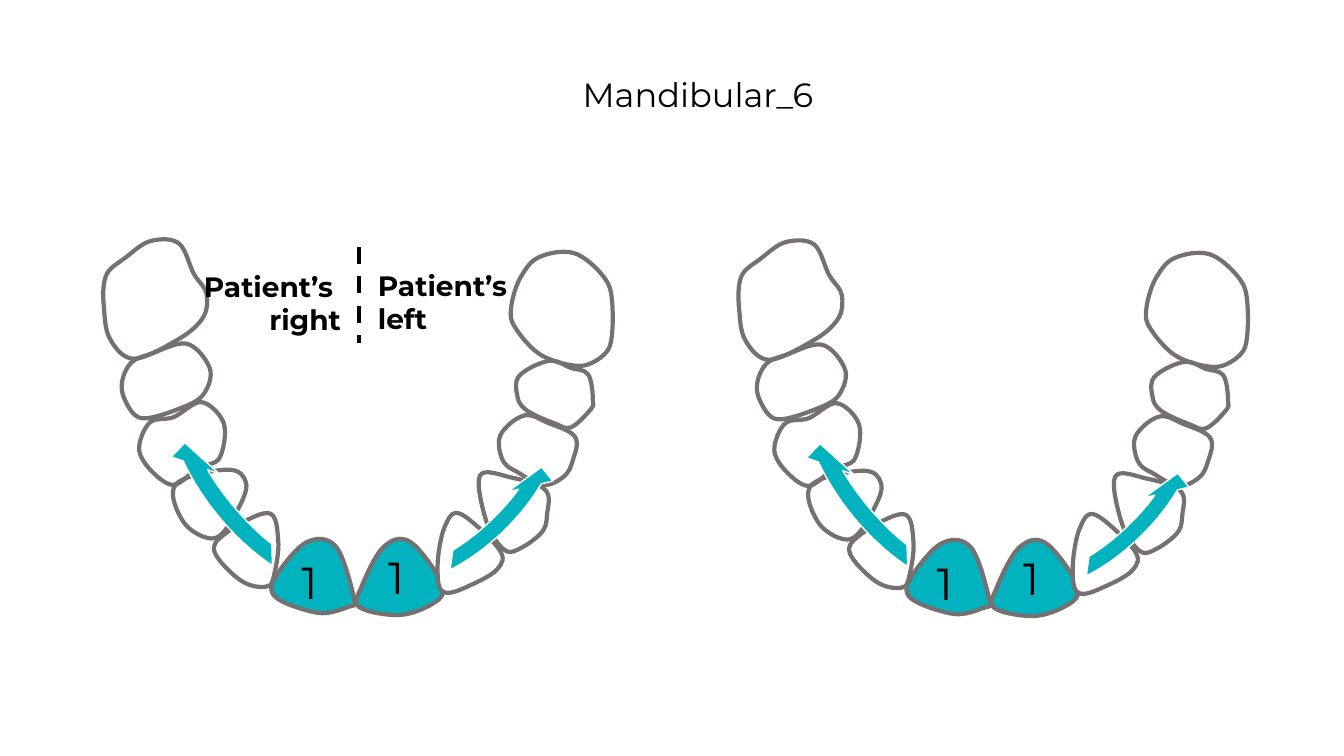
from lxml import etree
from pptx import Presentation
from pptx.dml.color import RGBColor
from pptx.enum.dml import MSO_LINE
from pptx.enum.shapes import MSO_CONNECTOR, MSO_SHAPE
from pptx.enum.text import MSO_ANCHOR, MSO_AUTO_SIZE, PP_ALIGN
from pptx.oxml.ns import qn
from pptx.util import Inches, Pt

DASH = MSO_LINE.DASH
STRAIGHT = MSO_CONNECTOR.STRAIGHT
CIRCULAR_ARROW = MSO_SHAPE.CIRCULAR_ARROW
TOP = MSO_ANCHOR.TOP
FIT_SHAPE = MSO_AUTO_SIZE.SHAPE_TO_FIT_TEXT
LEFT, CENTER, RIGHT = PP_ALIGN.LEFT, PP_ALIGN.CENTER, PP_ALIGN.RIGHT

FONT = "Montserrat"
TEAL, GRAY, BLACK, WHITE = "02B2BE", "767171", "000000", "FFFFFF"
ARROW_ADJUSTMENTS = (0.107, 8.273, 189.005, 130.563, 0.152)

# Fill and outline points of each tooth, in hundredths of an inch from the arch's corner
TEETH = [
    (TEAL, [(346, 602), (351, 593), (333, 542), (304, 538), (273, 573), (274, 593), (315, 608)]),
    (None, [(272, 570), (276, 536), (266, 509), (224, 529), (213, 548), (239, 576), (264, 582)]),
    (None, [(244, 479), (235, 507), (213, 534), (182, 518), (174, 481), (226, 466)]),
    (None, [(173, 481), (195, 465), (218, 454), (222, 420), (200, 399), (172, 414),
            (149, 419), (138, 445), (151, 468)]),
    (None, [(179, 405), (202, 391), (208, 365), (185, 341), (150, 351), (130, 360),
            (121, 379), (124, 397), (141, 415)]),
    (None, [(178, 336), (202, 314), (205, 292), (193, 273), (178, 242), (150, 239),
            (124, 256), (105, 274), (103, 304), (109, 336), (133, 356)]),
    (TEAL, [(356, 602), (359, 581), (381, 542), (406, 537), (434, 571), (436, 594), (398, 610)]),
    (WHITE, [(493, 565), (495, 545), (457, 510), (441, 523), (434, 562), (438, 586), (459, 584)]),
    (None, [(543, 507), (544, 492), (535, 482), (508, 474), (476, 472), (483, 519),
            (501, 546), (518, 543), (539, 526)]),
    (None, [(568, 457), (559, 473), (539, 481), (516, 470), (500, 459), (495, 436),
            (504, 422), (521, 412), (540, 418), (570, 433)]),
    (None, [(588, 396), (586, 406), (566, 424), (550, 420), (521, 406), (513, 392),
            (515, 373), (545, 358), (566, 365), (583, 371)]),
    (None, [(607, 298), (599, 275), (569, 251), (535, 255), (517, 274), (507, 305),
            (511, 325), (538, 353), (575, 363), (600, 351), (607, 332)]),
]


def rgb(color):
    return RGBColor.from_string(color)


def style(s, fill, line, width):
    s.shadow.inherit = False
    if fill:
        s.fill.solid()
        s.fill.fore_color.rgb = rgb(fill)
    else:
        s.fill.background()
    s.line.color.rgb = rgb(line)
    s.line.width = Pt(width)


def write(s, lines, size, align=LEFT, bold=False):
    tf = s.text_frame
    tf.word_wrap = True
    tf.auto_size = FIT_SHAPE
    tf.vertical_anchor = TOP
    tf.text = "\n".join(lines)
    for p in tf.paragraphs:
        p.alignment = align
        p.font.name = FONT
        p.font.size = Pt(size)
        p.font.bold = bold
        p.font.color.rgb = rgb(BLACK)


def smooth_steps(points):
    """Return two control points and an end point for each curve of a closed smooth outline."""
    steps = []
    n = len(points)
    for i in range(n):
        before, start, end, after = (points[(i + k) % n] for k in (-1, 0, 1, 2))
        steps.append([a + (b - c) / 6 for a, b, c in zip(start, end, before)])
        steps.append([a - (b - c) / 6 for a, b, c in zip(end, after, start)])
        steps.append(end)
    return steps


def add_tooth(shapes, left, top, fill, points):
    """Draw one tooth, turning each three straight steps into one curve."""
    builder = shapes.build_freeform(*points[0], scale=Inches(0.01))
    builder.add_line_segments(smooth_steps(points), close=True)
    s = builder.convert_to_shape(Inches(left), Inches(top))
    steps = list(s._element.iter(qn("a:lnTo")))
    for i in range(0, len(points) * 3, 3):
        curve = etree.Element(qn("a:cubicBezTo"))
        steps[i].addprevious(curve)
        for step in steps[i:i + 3]:
            curve.append(step[0])
            step.getparent().remove(step)
    style(s, fill, GRAY, 3)


def add_arrow(shapes, left, top, width, height, rotation, flips):
    s = shapes.add_shape(CIRCULAR_ARROW, Inches(left), Inches(top), Inches(width), Inches(height))
    for i, value in enumerate(ARROW_ADJUSTMENTS):
        s.adjustments[i] = value
    s.rotation = rotation
    for flip in flips:
        s._element.spPr.xfrm.set(flip, "1")
    style(s, TEAL, WHITE, 1)


def add_text(shapes, left, top, width, height, lines, size, **kwargs):
    s = shapes.add_textbox(Inches(left), Inches(top), Inches(width), Inches(height))
    write(s, lines, size, **kwargs)


def add_title(slide, left, top, width, height):
    s = slide.shapes.title
    s.left, s.top, s.width, s.height = map(Inches, (left, top, width, height))
    write(s, ["Mandibular_6 "], 24, align=CENTER)


def add_side_labels(shapes, left, top):
    add_text(shapes, left + 1.27, top + 2.62, 2.21, 0.77, ["Patient’s ", "right"], 20,
             align=RIGHT, bold=True)
    add_text(shapes, left + 3.65, top + 2.61, 1.54, 0.77, ["Patient’s", "left"], 20, bold=True)
    x = Inches(left + 3.56)
    s = shapes.add_connector(STRAIGHT, x, Inches(top + 2.45), x, Inches(top + 3.4))
    s.line.color.rgb = rgb(BLACK)
    s.line.width = Pt(3)
    s.line.dash_style = DASH
    etree.SubElement(s._element.spPr, qn("a:effectLst"))


def add_arch(slide, left, top, right_arrow_shift=(0, 0), labelled=False):
    shapes = slide.shapes.add_group_shape().shapes
    for fill, points in TEETH:
        add_tooth(shapes, left, top, fill, points)
    if labelled:
        add_side_labels(shapes, left, top)
    for x, y in ((2.89, 5.45), (3.75, 5.4)):
        add_text(shapes, left + x, top + y, 0.65, 0.64, ["1"], 32)
    add_arrow(shapes, left + 1.15, top + 3.86, 3.05, 1.66, 50.7, ("flipH", "flipV"))
    dx, dy = right_arrow_shift
    add_arrow(shapes, left + 3.2 + dx, top + 4.06 + dy, 2.76, 1.52, 135.5, ("flipH",))


def main():
    prs = Presentation()
    prs.slide_width, prs.slide_height = Inches(13.33), Inches(7.5)
    slide = prs.slides.add_slide(prs.slide_layouts[5])
    add_title(slide, 5.51, 0.68, 2.91, 0.5)
    add_arch(slide, 0, 0, labelled=True)
    add_arch(slide, 6.3, 0.01, right_arrow_shift=(0.01, 0.05))
    prs.save("out.pptx")


if __name__ == "__main__":
    main()
